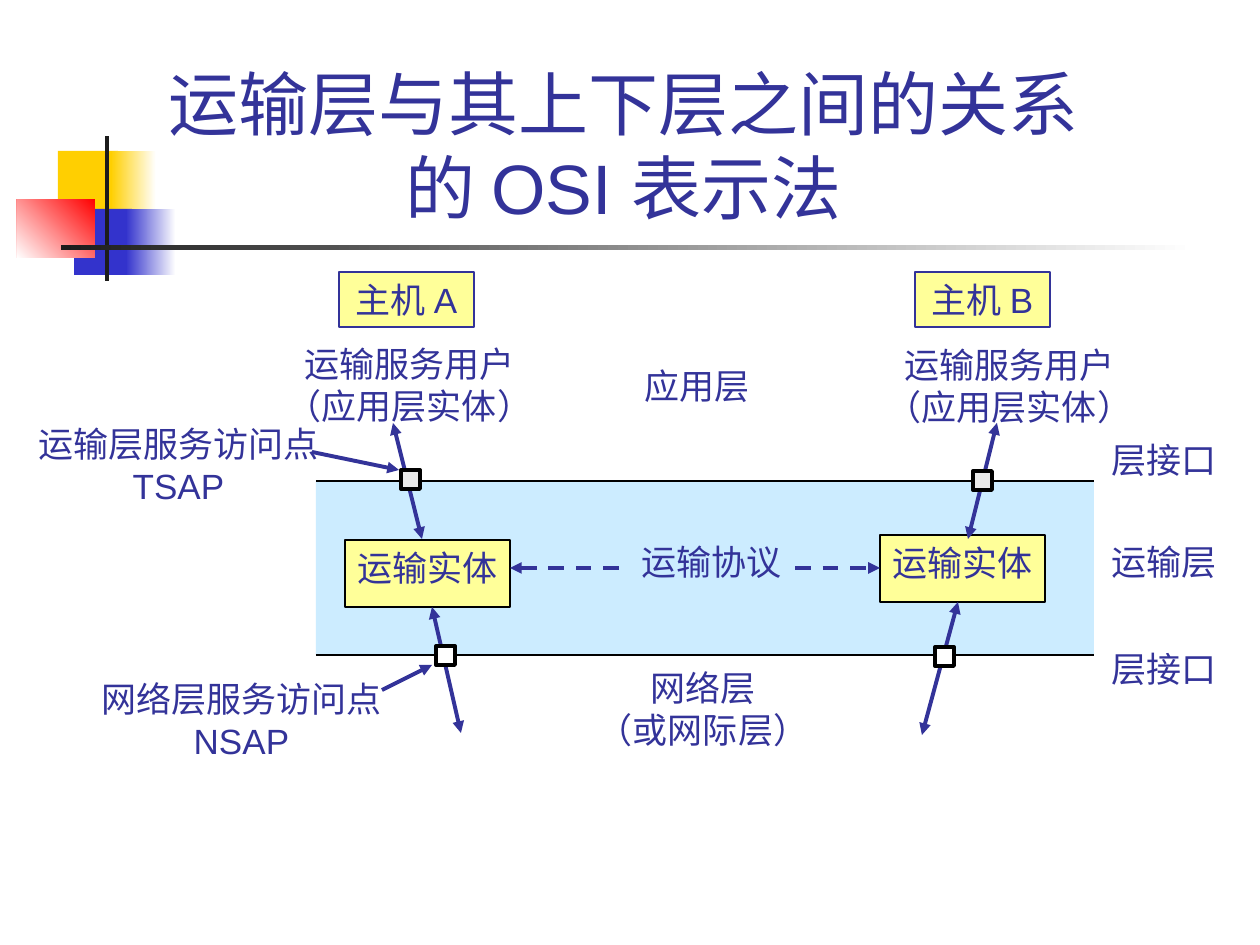
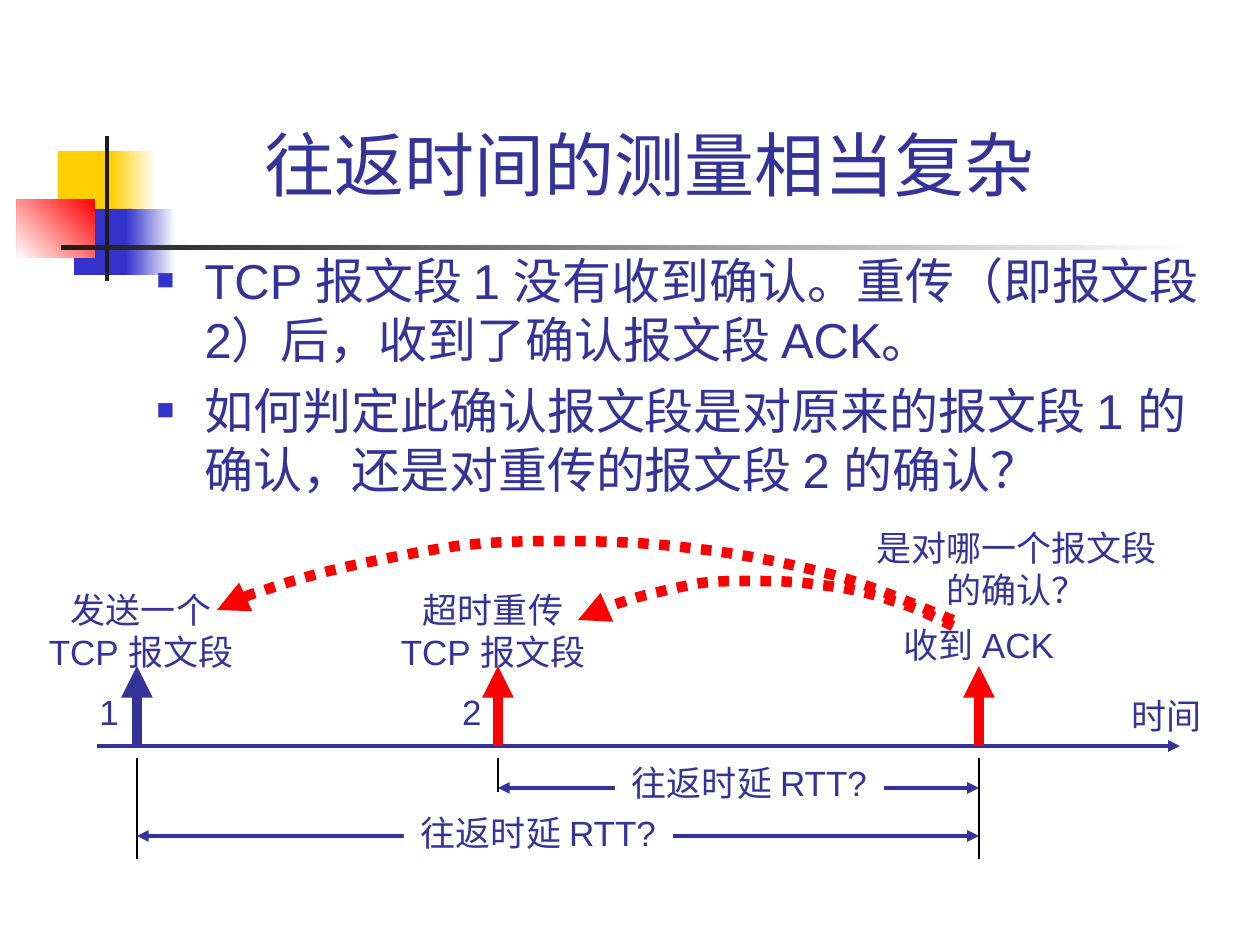
"""Build two transport-layer slides: the OSI view and round-trip time measurement."""
from lxml.etree import SubElement
from pptx import Presentation
from pptx.dml.color import RGBColor
from pptx.enum.dml import MSO_LINE
from pptx.enum.shapes import MSO_CONNECTOR, MSO_SHAPE
from pptx.enum.text import MSO_ANCHOR, MSO_AUTO_SIZE, PP_ALIGN
from pptx.oxml.ns import qn
from pptx.util import Inches, Pt

PX = Inches(1) // 126
FONT = "Arial"
NAVY = RGBColor(0x33, 0x33, 0x99)
BLUE = RGBColor(0x33, 0x33, 0xCC)
GOLD = RGBColor(0xFF, 0xCF, 0x01)
RED = RGBColor(0xFF, 0x00, 0x00)
INK = RGBColor(0x1C, 0x1C, 0x1C)
BLACK = RGBColor(0x00, 0x00, 0x00)
WHITE = RGBColor(0xFF, 0xFF, 0xFF)
GREY = RGBColor(0xEA, 0xEA, 0xEA)
SKY = RGBColor(0xCC, 0xEC, 0xFF)
YELLOW = RGBColor(0xFF, 0xFF, 0x99)


def box(s, x, y, w, h, text="", fill=None, border=None, weight=0.75):
    sp = s.shapes.add_shape(MSO_SHAPE.RECTANGLE, x * PX, y * PX, w * PX, h * PX)
    sp.shadow.inherit = False
    if fill is None:
        sp.fill.background()
    else:
        sp.fill.solid()
        sp.fill.fore_color.rgb = fill
    if border is None:
        sp.line.fill.background()
    else:
        sp.line.color.rgb = border
        sp.line.width = Pt(weight)
    if text:
        tf = sp.text_frame
        tf.word_wrap = False
        tf.vertical_anchor = MSO_ANCHOR.TOP
        for i, row in enumerate(text.split("\n")):
            p = tf.paragraphs[0] if i == 0 else tf.add_paragraph()
            p.alignment = PP_ALIGN.CENTER
            r = p.add_run()
            r.text = row
            r.font.name, r.font.size, r.font.color.rgb = FONT, Pt(20), NAVY
    return sp


def stroke(sp, color=NAVY, weight=2.25, ends=(), dash=None):
    sp.line.color.rgb = color
    sp.line.width = Pt(weight)
    if dash is not None:
        sp.line.dash_style = dash
    spPr = sp._element.spPr
    for end in ends:
        SubElement(spPr.find(qn("a:ln")), qn(f"a:{end}")).set("type", "triangle")
    SubElement(spPr, qn("a:effectLst"))


BOTH = ("headEnd", "tailEnd")
TAIL = ("tailEnd",)

prs = Presentation()
prs.slide_width, prs.slide_height = Inches(10), Inches(7.5)
osi = prs.slides.add_slide(prs.slide_layouts[5])
rtt = prs.slides.add_slide(prs.slide_layouts[1])

decorations = [
    (58, 151, 60, 66, GOLD, None, 0),
    (111, 151, 45, 66, WHITE, GOLD, 180),
    (74, 209, 58, 66, BLUE, None, 0),
    (126, 209, 50, 66, WHITE, BLUE, 180),
    (17, 199, 78, 59, RED, WHITE, 225),
    (105, 136, 4, 145, INK, None, 0),
    (61, 245, 1134, 5, WHITE, INK, 180),
]
master_tree = prs.slide_master.shapes.element
for i, (x, y, w, h, start, stop, angle) in enumerate(decorations):
    sp = box(osi, x, y, w, h, fill=start)
    if stop is not None:
        sp.fill.gradient()
        sp.fill.gradient_angle = angle
        for mark, color in zip(sp.fill.gradient_stops, (start, stop)):
            mark.color.rgb = color
    sp.element.nvSpPr.cNvPr.set("id", str(101 + i))
    master_tree.insert(2 + i, sp.element)

titles = [
    (osi, "运输层与其上下层之间的关系的 OSI 表示法", 151, 129, 945, 106),
    (rtt, "往返时间的测量相当复杂", 151, 96, 997, 116),
]
for s, text, x, y, w, h in titles:
    sp = s.shapes.title
    sp.left, sp.top, sp.width, sp.height = x * PX, y * PX, w * PX, h * PX
    tf = sp.text_frame
    tf.auto_size = MSO_AUTO_SIZE.NONE
    tf.vertical_anchor = MSO_ANCHOR.BOTTOM
    p = tf.paragraphs[0]
    p.alignment = PP_ALIGN.CENTER
    r = p.add_run()
    r.text = text
    r.font.name, r.font.size, r.font.color.rgb = FONT, Pt(40), NAVY

band_left, band_right, band_top, band_bottom = 316, 1094, 481, 655
box(osi, band_left, band_top, band_right - band_left, band_bottom - band_top, fill=SKY)
for y in (band_top, band_bottom):
    c = osi.shapes.add_connector(MSO_CONNECTOR.STRAIGHT, band_left * PX, y * PX, band_right * PX, y * PX)
    stroke(c, BLACK, 0.75)

for x, y in ((345, 540), (880, 535)):
    box(osi, x, y, 165, 67, "运输实体", YELLOW, BLACK, 1.5)

osi_arrows = [
    (510, 568, 880, 568, BOTH, MSO_LINE.DASH),
    (393, 423, 422, 539, BOTH, None),
    (432, 607, 461, 733, BOTH, None),
    (997, 423, 968, 539, BOTH, None),
    (958, 602, 922, 735, BOTH, None),
    (312, 452, 399, 470, TAIL, None),
    (382, 690, 432, 665, TAIL, None),
]
for x1, y1, x2, y2, ends, dash in osi_arrows:
    c = osi.shapes.add_connector(MSO_CONNECTOR.STRAIGHT, x1 * PX, y1 * PX, x2 * PX, y2 * PX)
    stroke(c, ends=ends, dash=dash)

osi_labels = [
    (339, 272, 135, 55, "主机 A", YELLOW, NAVY),
    (915, 272, 135, 55, "主机 B", YELLOW, NAVY),
    (629, 534, 165, 55, "运输协议", SKY, None),
    (1099, 432, 130, 55, "层接口", None, None),
    (1099, 534, 130, 55, "运输层", None, None),
    (1099, 641, 130, 55, "层接口", None, None),
    (632, 358, 130, 55, "应用层", None, None),
    (274, 336, 271, 97, "运输服务用户\n（应用层实体）", None, None),
    (874, 337, 271, 97, "运输服务用户\n（应用层实体）", None, None),
    (585, 660, 236, 97, "网络层\n（或网际层）", None, None),
    (26, 416, 305, 97, "运输层服务访问点\nTSAP", None, None),
    (89, 671, 305, 97, "网络层服务访问点\nNSAP", None, None),
]
for x, y, w, h, text, fill, border in osi_labels:
    box(osi, x, y, w, h, text, fill, border)

for x, y, fill in ((401, 470, GREY), (973, 471, GREY), (436, 646, WHITE), (935, 647, WHITE)):
    box(osi, x, y, 19, 19, fill=fill, border=BLACK, weight=2.25)

body = rtt.placeholders[1]
body.left, body.top, body.width, body.height = 144 * PX, 244 * PX, 1071 * PX, 267 * PX
tf = body.text_frame
tf.auto_size = MSO_AUTO_SIZE.NONE
points = [
    "TCP 报文段 1 没有收到确认。重传（即报文段 2）后，收到了确认报文段 ACK。",
    "如何判定此确认报文段是对原来的报文段 1 的确认，还是对重传的报文段 2 的确认？",
]
for i, text in enumerate(points):
    p = tf.paragraphs[0] if i == 0 else tf.add_paragraph()
    p.space_before = Pt(7)
    r = p.add_run()
    r.text = text
    r.font.name, r.font.size, r.font.color.rgb = FONT, Pt(28), NAVY
    pPr = p._p.get_or_add_pPr()
    pPr.set("marL", str(48 * PX))
    pPr.set("indent", str(-48 * PX))
    SubElement(SubElement(pPr, qn("a:buClr")), qn("a:srgbClr")).set("val", str(BLUE))
    SubElement(pPr, qn("a:buSzPct")).set("val", "60000")
    SubElement(pPr, qn("a:buFont")).set("typeface", FONT)
    SubElement(pPr, qn("a:buChar")).set("char", "■")

sent, resent, acked, axis = 137, 498, 979, 746
rtt_lines = [
    (resent, 788, acked, 788, NAVY, 2.25, BOTH),
    (sent, 836, acked, 836, NAVY, 2.25, BOTH),
    (97, axis, 1180, axis, NAVY, 2.25, TAIL),
    (sent, axis, sent, 666, NAVY, 6, TAIL),
    (resent, axis, resent, 666, RED, 6, TAIL),
    (acked, axis, acked, 666, RED, 6, TAIL),
    (sent, 758, sent, 859, BLACK, 0.75, ()),
    (resent, 758, resent, 792, BLACK, 0.75, ()),
    (acked, 758, acked, 859, BLACK, 0.75, ()),
]
for x1, y1, x2, y2, color, weight, ends in rtt_lines:
    c = rtt.shapes.add_connector(MSO_CONNECTOR.STRAIGHT, x1 * PX, y1 * PX, x2 * PX, y2 * PX)
    stroke(c, color, weight, ends)

rtt_labels = [
    (615, 755, 269, 55, "往返时延 RTT?", WHITE),
    (404, 805, 269, 55, "往返时延 RTT?", WHITE),
    (32, 582, 218, 97, "发送一个\nTCP 报文段", None),
    (384, 582, 218, 97, "超时重传\nTCP 报文段", None),
    (887, 617, 184, 55, "收到 ACK", None),
    (1120, 688, 94, 55, "时间", None),
    (87, 684, 44, 55, "1", None),
    (450, 684, 44, 55, "2", None),
    (864, 520, 305, 97, "是对哪一个报文段\n的确认？", None),
]
for x, y, w, h, text, fill in rtt_labels:
    box(rtt, x, y, w, h, text, fill)

curves = [
    [(953, 626), (942, 621), (916, 607), (893, 601), (871, 593), (843, 587), (819, 585),
     (795, 581), (772, 581), (752, 581), (732, 581), (718, 581), (701, 583),
     (683, 586), (663, 591), (646, 595), (630, 599), (614, 605), (602, 609),
     (591, 612), (585, 616), (578, 620)],
    [(953, 620), (932, 612), (879, 588), (837, 576), (793, 564), (737, 553), (690, 548),
     (644, 542), (597, 541), (558, 541), (520, 541), (491, 542), (457, 546),
     (422, 551), (383, 559), (350, 566), (319, 573), (287, 582), (265, 590),
     (242, 597), (231, 604), (217, 610)],
]
for knots in curves:
    fb = rtt.shapes.build_freeform(*knots[0], scale=PX)
    fb.add_line_segments(knots[1:], close=False)
    sp = fb.convert_to_shape()
    sp.fill.background()
    outline = next(sp._element.iter(qn("a:moveTo"))).getparent()
    segments = outline.findall(qn("a:lnTo"))
    for i in range(0, len(segments), 3):
        bezier = SubElement(outline, qn("a:cubicBezTo"))
        for segment in segments[i:i + 3]:
            bezier.append(segment[0])
            outline.remove(segment)
    stroke(sp, RED, 6, TAIL, MSO_LINE.ROUND_DOT)
    sp.line._ln.find(qn("a:prstDash")).set("val", "sysDot")

prs.save("out.pptx")
